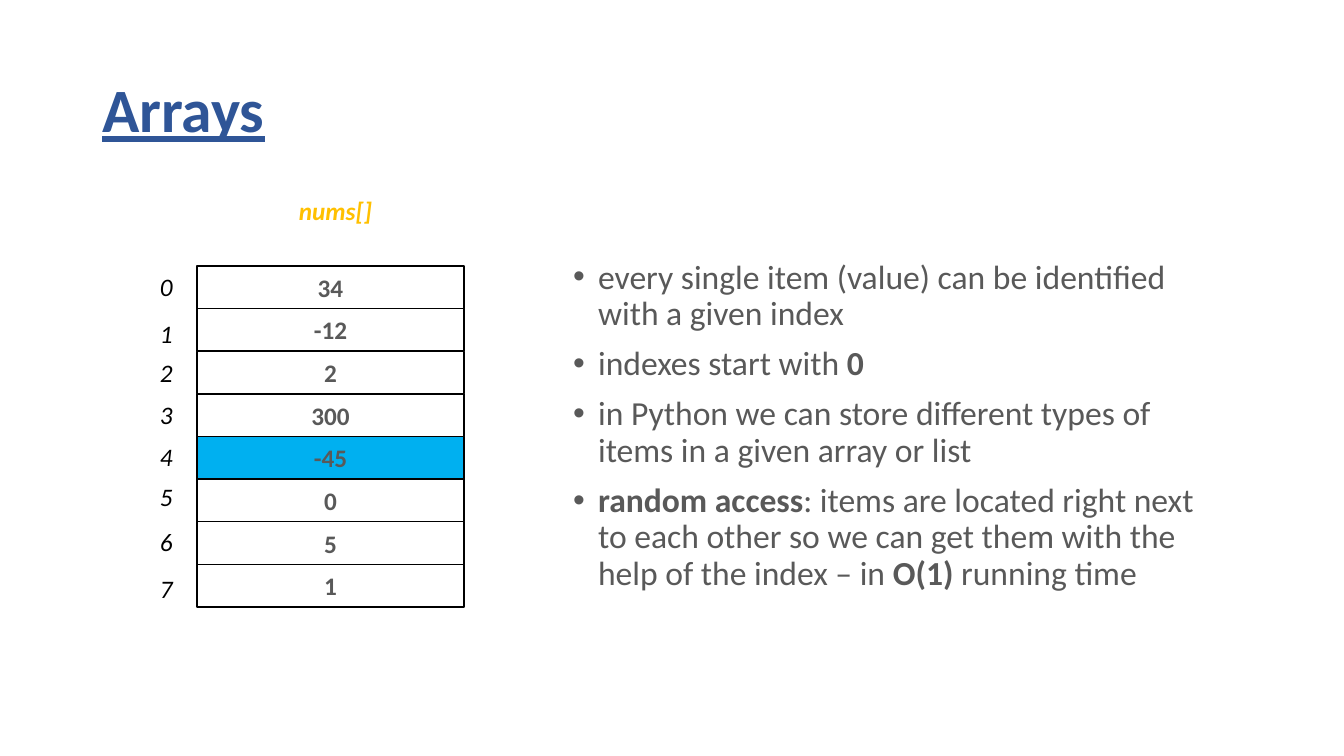
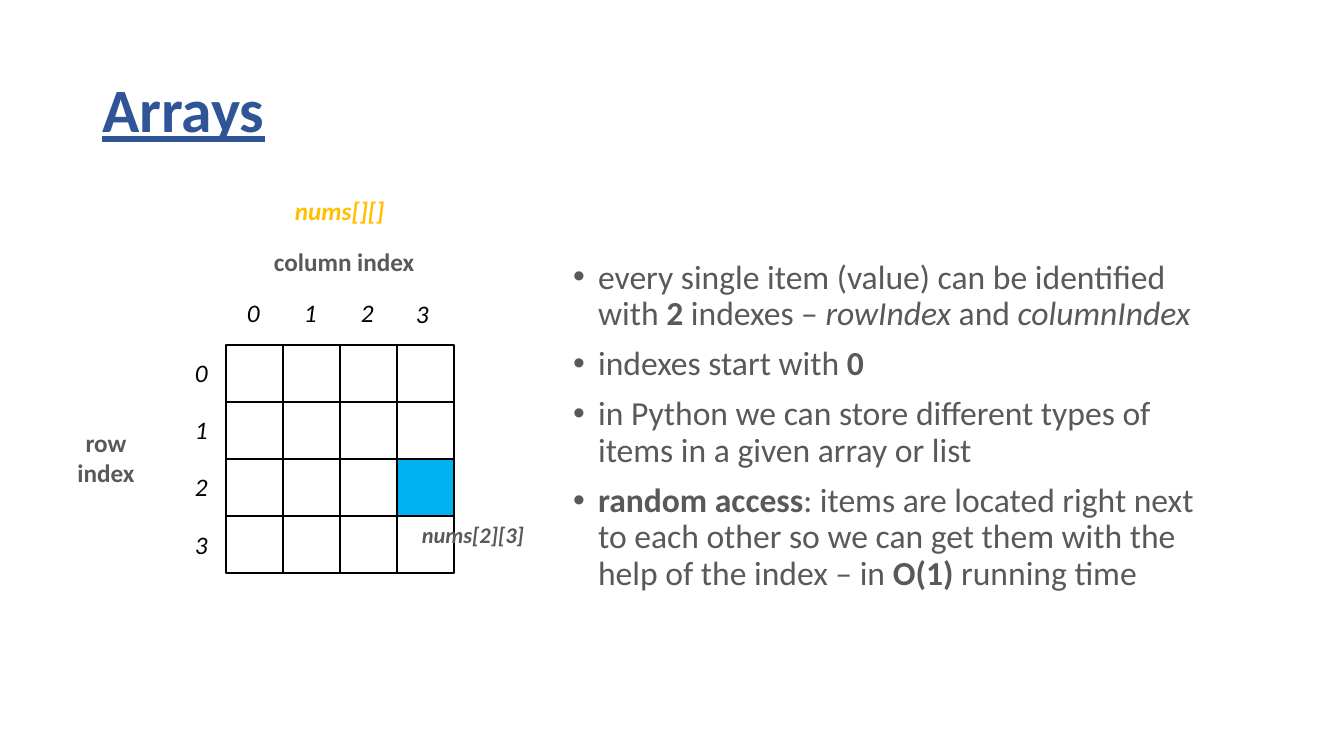
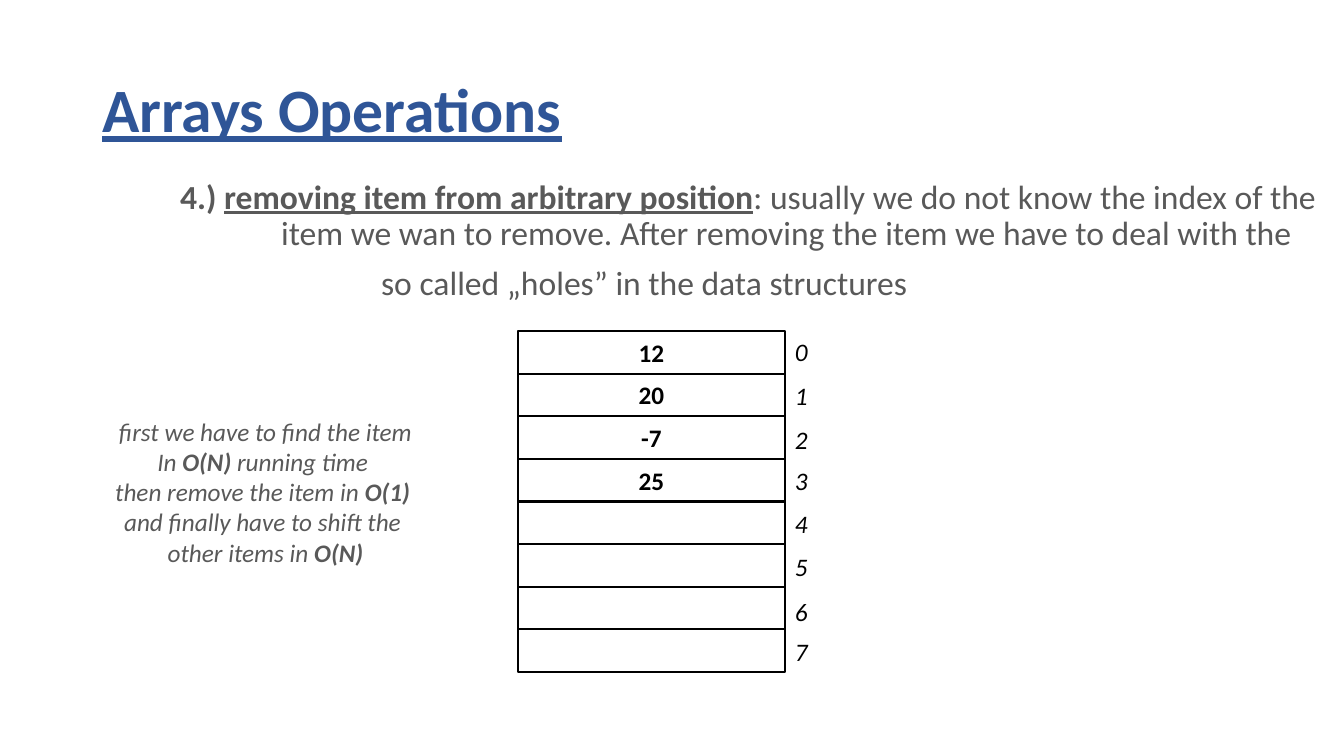
from dataclasses import dataclass

from lxml.etree import SubElement
from pptx import Presentation
from pptx.dml.color import RGBColor
from pptx.enum.shapes import MSO_SHAPE
from pptx.enum.text import MSO_ANCHOR, MSO_AUTO_SIZE, PP_ALIGN
from pptx.oxml.ns import qn
from pptx.util import Emu, Pt


@dataclass(frozen=True)
class Theme:
    """Colours, type sizes and font shared by the slides."""
    font: str = "Calibri"
    heading: str = "2F5597"
    text: str = "595959"
    ink: str = "000000"
    accent: str = "FFC000"
    highlight: str = "00B0F0"
    paper: str = "FFFFFF"
    title_size: int = 44
    body_size: int = 24
    label_size: int = 18
    small_size: int = 16


THEME = Theme()
PIXELS_PER_INCH = 100.8
INDENT = 25
LABEL_HEIGHT = 40

START_AT_ZERO = [("indexes start with ", ""), ("0", "b")]
MIXED_TYPES = [("in Python we can store different types of items in a given array or list", "")]
RANDOM_ACCESS = [
    ("random access", "b"),
    (": items are located right next to each other so we can get them "
     "with the help of the index – in ", ""),
    ("O(1)", "b"),
    (" running time", ""),
]


def px(pixels):
    """Turn pixels into EMU."""
    return Emu(round(pixels * 914400 / PIXELS_PER_INCH))


def place(shape, left, top, width, height):
    """Move and size a shape in pixels."""
    shape.left, shape.top = px(left), px(top)
    shape.width, shape.height = px(width), px(height)


def add_runs(paragraph, runs, size, color):
    """Add (text, style) runs; style letters are b, i and u."""
    for text, style in runs:
        run = paragraph.add_run()
        run.text = text
        font = run.font
        font.name, font.size = THEME.font, Pt(size)
        font.color.rgb = RGBColor.from_string(color)
        font.bold, font.italic, font.underline = (letter in style for letter in "biu")


def add_paragraphs(frame, paragraphs, size, color, align=PP_ALIGN.LEFT):
    """Fill a text frame with lists of runs and return its paragraphs."""
    for number, runs in enumerate(paragraphs):
        paragraph = frame.add_paragraph() if number else frame.paragraphs[0]
        paragraph.alignment = align
        add_runs(paragraph, runs, size, color)
    return frame.paragraphs


def add_titled_slide(deck, heading):
    """Add a slide with the shared title style."""
    slide = deck.slides.add_slide(deck.slide_layouts[1])
    title = slide.shapes.title
    place(title, 92, 40, 1159, 146)
    frame = title.text_frame
    frame.vertical_anchor = MSO_ANCHOR.MIDDLE
    frame.auto_size = MSO_AUTO_SIZE.NONE
    paragraph, = add_paragraphs(frame, [[(heading, "bu")]], THEME.title_size, THEME.heading)
    paragraph.line_spacing = 0.9
    return slide


def add_body(slide, box, paragraphs, margins, first_indent, bullet=None):
    """Fill the body placeholder, with one left margin per paragraph."""
    body = slide.placeholders[1]
    place(body, *box)
    frame = body.text_frame
    frame.auto_size = MSO_AUTO_SIZE.NONE
    lines = add_paragraphs(frame, paragraphs, THEME.body_size, THEME.text)
    for paragraph, margin in zip(lines, margins):
        paragraph.line_spacing = 0.9
        paragraph.space_before = Pt(10)
        properties = paragraph._p.get_or_add_pPr()
        properties.set("marL", str(px(margin)))
        properties.set("indent", str(px(first_indent)))
        if bullet:
            SubElement(properties, qn("a:buChar")).set("char", bullet)
        else:
            SubElement(properties, qn("a:buNone"))


def add_bullets(slide, first_point):
    """Add the list on array properties, led by the given point."""
    points = [first_point, START_AT_ZERO, MIXED_TYPES, RANDOM_ACCESS]
    add_body(slide, (563, 255, 653, 480), points, [INDENT] * len(points), -INDENT, "•")


def add_label(slide, box, paragraphs, color=THEME.text, size=THEME.label_size,
              align=PP_ALIGN.LEFT):
    """Add an unwrapped text box."""
    label = slide.shapes.add_textbox(*map(px, box))
    frame = label.text_frame
    frame.word_wrap = False
    frame.auto_size = MSO_AUTO_SIZE.SHAPE_TO_FIT_TEXT
    add_paragraphs(frame, paragraphs, size, color, align)


def add_indexes(slide, corners):
    """Number the given (left, top) corners from zero."""
    for index, (left, top) in enumerate(corners):
        add_label(slide, (left, top, 34, LABEL_HEIGHT), [[(str(index), "i")]], THEME.ink)


def add_cell(slide, box, value, fill, line_width, color):
    """Add one outlined array cell."""
    cell = slide.shapes.add_shape(MSO_SHAPE.RECTANGLE, *map(px, box))
    cell.shadow.inherit = False
    cell.line.color.rgb = RGBColor.from_string(THEME.ink)
    cell.line.width = Pt(line_width)
    if fill:
        cell.fill.solid()
        cell.fill.fore_color.rgb = RGBColor.from_string(fill)
    else:
        cell.fill.background()
    if value:
        cell.text_frame.vertical_anchor = MSO_ANCHOR.MIDDLE
        add_paragraphs(cell.text_frame, [[(value, "b")]], THEME.label_size, color,
                       PP_ALIGN.CENTER)


def add_array(slide, box, rows, fills, line_width=1, color=THEME.text):
    """Draw rows of values as equal cells; fills maps (row, column) to a colour."""
    left, top, width, height = box
    cell_height = height / len(rows)
    for row, values in enumerate(rows):
        cell_width = width / len(values)
        for column, value in enumerate(values):
            cell_box = (left + column * cell_width, top + row * cell_height,
                        cell_width, cell_height)
            add_cell(slide, cell_box, value, fills.get((row, column)), line_width, color)


def build_one_dimension(deck):
    """Slide on arrays with a single index."""
    slide = add_titled_slide(deck, "Arrays")
    values = ["34", "-12", "2", "300", "-45", "0", "5", "1"]
    add_array(slide, (197, 266, 267, 341), [[value] for value in values],
              {(4, 0): THEME.highlight})
    add_indexes(slide, [(150, top) for top in (266, 313, 352, 394, 436, 476, 521, 568)])
    add_label(slide, (289, 190, 95, LABEL_HEIGHT), [[("nums[]", "bi")]], THEME.accent)
    add_bullets(slide, [
        ("every single item (value) can be identified with a given index", "")])


def build_two_dimensions(deck):
    """Slide on arrays with a row and a column index."""
    slide = add_titled_slide(deck, "Arrays")
    add_array(slide, (226, 345, 228, 228), [[""] * 4] * 4, {(2, 3): THEME.highlight})
    add_indexes(slide, [(185, top) for top in (352, 409, 466, 524)])
    add_indexes(slide, [(237, 292), (294, 292), (351, 292), (406, 293)])
    add_label(slide, (285, 190, 111, LABEL_HEIGHT), [[("nums[][]", "bi")]], THEME.accent)
    add_bullets(slide, [
        ("every single item (value) can be identified with ", ""), ("2", "b"),
        (" indexes – ", ""), ("rowIndex", "i"), (" and ", ""), ("columnIndex", "i")])
    add_label(slide, (412, 516, 124, 37), [[("nums[2][3]", "bi")]], size=THEME.small_size)
    add_label(slide, (67, 422, 78, 72), [[("row", "b")], [("index", "b")]],
              align=PP_ALIGN.CENTER)
    add_label(slide, (264, 241, 161, LABEL_HEIGHT), [[("column index", "b")]])


def build_removal(deck):
    """Slide on removing an item from any position."""
    slide = add_titled_slide(deck, "Arrays Operations")
    values = ["12", "20", "-7", "25", "", "", "", ""]
    add_array(slide, (518, 331, 267, 341), [[value] for value in values],
              {(0, 0): THEME.paper}, 1.5, THEME.ink)
    add_indexes(slide, [(785, top) for top in (331, 375, 419, 460, 503, 546, 591, 631)])
    add_label(slide, (103, 411, 325, 163), [
        [("first we have to find the item", "i")],
        [("In ", "i"), ("O(N) ", "bi"), ("running time ", "i")],
        [("then remove the item in ", "i"), ("O(1) ", "bi")],
        [("and finally have to shift the ", "i")],
        [("other items in ", "i"), ("O(N)", "bi")],
    ], align=PP_ALIGN.CENTER)
    add_body(slide, (170, 175, 1159, 139), [
        [("4.) ", "b"), ("removing item from arbitrary position", "bu"),
         (": usually we do not know the index of the item we wan to remove. "
          "After removing the item we have to deal with the", "")],
        [("so called „holes” in the data structures", "")],
    ], margins=[101, 302], first_indent=-101)


def main():
    """Build and save the presentation."""
    deck = Presentation()
    deck.slide_width, deck.slide_height = px(1344), px(756)
    build_one_dimension(deck)
    build_two_dimensions(deck)
    build_removal(deck)
    deck.save("out.pptx")


main()
